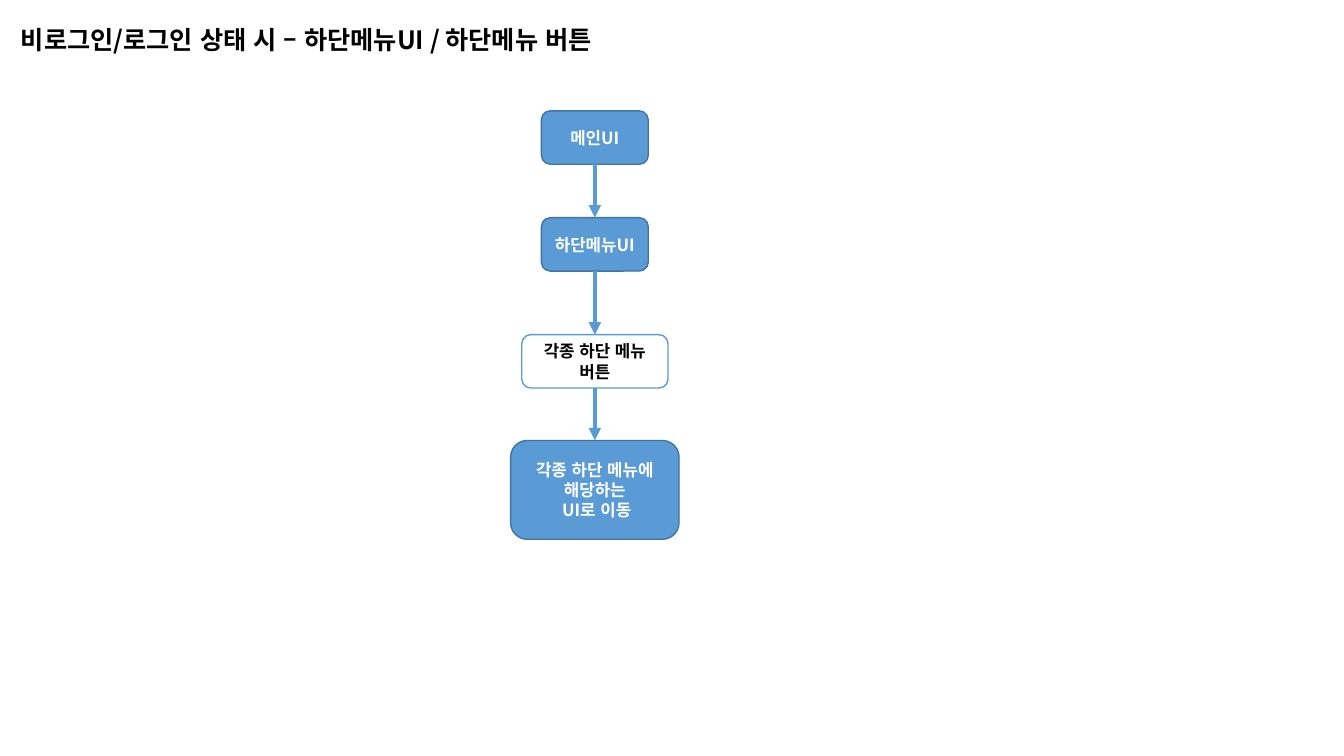
from lxml import etree
from pptx import Presentation
from pptx import util as u
from pptx.dml.color import RGBColor
from pptx.enum import lang, shapes, text
from pptx.oxml.ns import qn

FONT = "Noto Sans CJK KR"
COLORS = {"blue": "5B9BD5", "edge": "43739E", "white": "FFFFFF", "black": "000000"}
TITLE = "비로그인/로그인 상태 시 – 하단메뉴UI / 하단메뉴 버튼"
SOLID = ("blue", "edge", "white")
OUTLINED = ("white", "blue", "black")
# text, width, height, gap above, (fill, line, font)
STEPS = [
    ("메인UI", 1.06, 0.53, 0, SOLID),
    ("하단메뉴UI", 1.06, 0.53, 0.53, SOLID),
    ("각종 하단 메뉴\n버튼", 1.45, 0.53, 0.63, OUTLINED),
    ("각종 하단 메뉴에 해당하는\n UI로 이동", 1.67, 0.98, 0.52, SOLID),
]
CENTER, TOP = 5.9, 1.1


def color(name):
    return RGBColor.from_string(COLORS[name])


def write(tf, content, size, font_color, align):
    tf.word_wrap = True
    tf.text = content
    for p in tf.paragraphs:
        p.alignment = align
        for r in p.runs:
            r.font.name = FONT
            r.font.size = u.Pt(size)
            r.font.bold = True
            r.font.color.rgb = color(font_color)
            r.font.language_id = lang.MSO_LANGUAGE_ID.KOREAN
            latin = r.font._element.find(qn("a:latin"))
            ea = etree.Element(qn("a:ea"), typeface=FONT)
            latin.addnext(ea)


def add_step(s, content, top, width, height, style):
    fill, line, font_color = style
    sp = s.shapes.add_shape(
        shapes.MSO_SHAPE.ROUNDED_RECTANGLE,
        u.Inches(CENTER - width / 2), u.Inches(top), u.Inches(width), u.Inches(height))
    sp.shadow.inherit = False
    sp.fill.solid()
    sp.fill.fore_color.rgb = color(fill)
    sp.line.color.rgb = color(line)
    sp.line.width = u.Pt(1)
    sp.text_frame.vertical_anchor = text.MSO_ANCHOR.MIDDLE
    write(sp.text_frame, content, 12, font_color, text.PP_ALIGN.CENTER)
    return sp


def add_arrow(s, start, end):
    c = s.shapes.add_connector(shapes.MSO_CONNECTOR.STRAIGHT, 0, 0, 0, 0)
    c.begin_connect(start, 2)
    c.end_connect(end, 0)
    c.line.color.rgb = color("blue")
    c.line.width = u.Pt(3)
    etree.SubElement(c.line._get_or_add_ln(), qn("a:tailEnd"), type="triangle")
    etree.SubElement(c._element.spPr, qn("a:effectLst"))


def main():
    prs = Presentation()
    prs.slide_width, prs.slide_height = u.Inches(13.33), u.Inches(7.5)
    s = prs.slides.add_slide(prs.slide_layouts[6])

    title = s.shapes.add_textbox(u.Inches(0.11), u.Inches(0.19), u.Inches(6.63), u.Inches(0.4))
    write(title.text_frame, TITLE, 18, "black", text.PP_ALIGN.LEFT)
    title.text_frame.auto_size = text.MSO_AUTO_SIZE.SHAPE_TO_FIT_TEXT

    top, previous = TOP, None
    for content, width, height, gap, style in STEPS:
        top += gap
        step = add_step(s, content, top, width, height, style)
        if previous is not None:
            add_arrow(s, previous, step)
        top += height
        previous = step

    prs.save("out.pptx")


if __name__ == "__main__":
    main()
